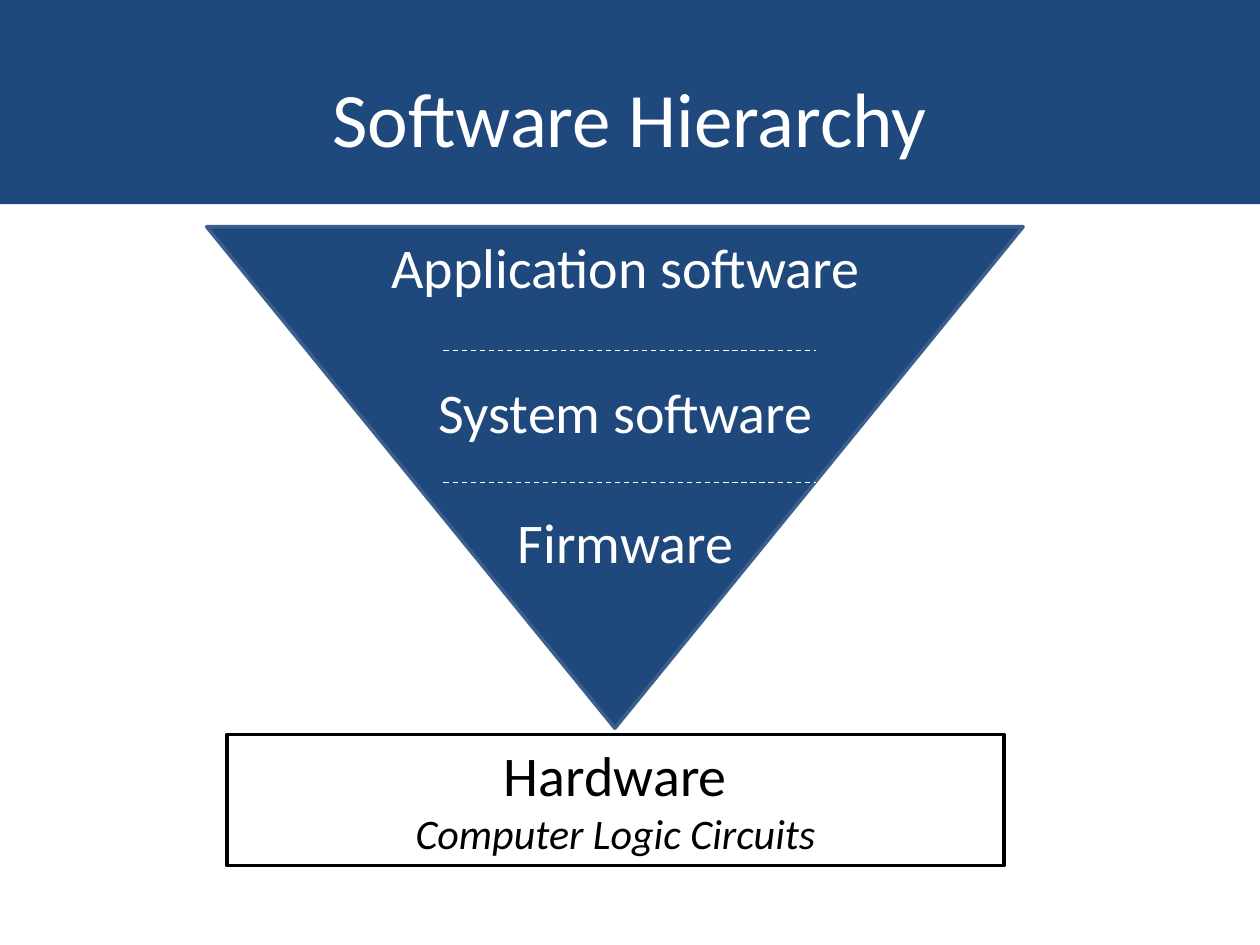
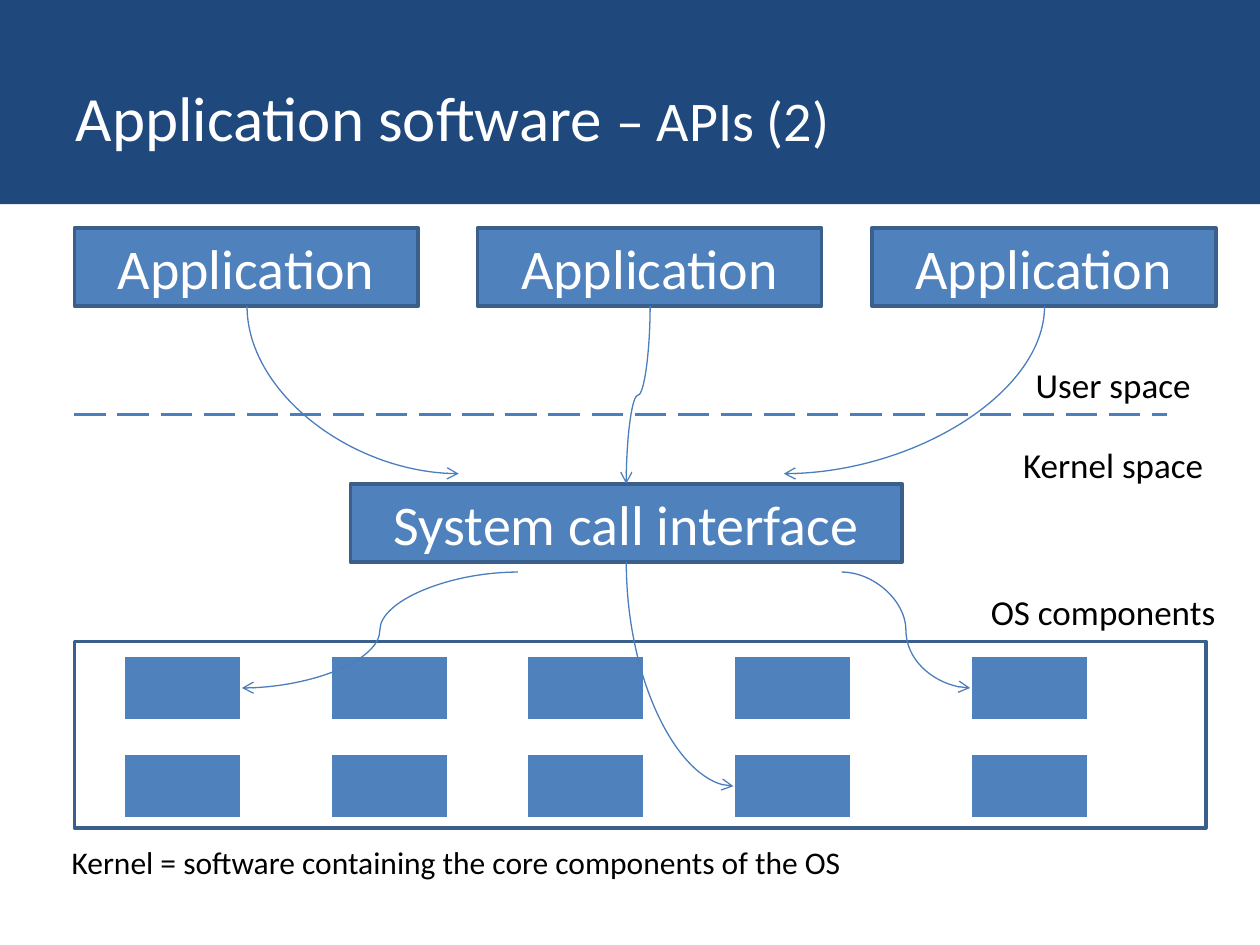
from lxml import etree
from pptx import Presentation
from pptx.dml.color import RGBColor
from pptx.enum.dml import MSO_LINE
from pptx.enum.shapes import MSO_CONNECTOR, MSO_SHAPE
from pptx.enum.text import MSO_ANCHOR, MSO_AUTO_SIZE, PP_ALIGN
from pptx.oxml.ns import qn
from pptx.util import Emu, Pt

PX = 9144
FONT = "Calibri"
COLORS = {
    "band": "1F497D",
    "box": "4F81BD",
    "edge": "3A5F8C",
    "link": "4B7EBC",
    "white": "FFFFFF",
    "black": "000000",
}
SLIDE = (0, 0, 1000, 750)
BAND = (0, 0, 1000, 162)
TITLE = (50, 30, 900, 125)


def px(*values):
    return [Emu(round(v * PX)) for v in values]


def rgb(name):
    return RGBColor.from_string(COLORS[name])


def add_run(p, text, size, color, italic=None):
    r = p.add_run()
    r.text = text
    r.font.name = FONT
    r.font.size = Pt(size)
    r.font.italic = italic
    r.font.color.rgb = rgb(color)


def add_box(s, box, fill=None, line=None, shape=MSO_SHAPE.RECTANGLE):
    sp = s.shapes.add_shape(shape, *px(*box))
    sp.shadow.inherit = False
    if fill:
        sp.fill.solid()
        sp.fill.fore_color.rgb = rgb(fill)
    else:
        sp.fill.background()
    if line:
        sp.line.color.rgb = rgb(line)
        sp.line.width = Pt(2)
    else:
        sp.line.fill.background()
    return sp


def write(sp, text, size, color, align=PP_ALIGN.CENTER, anchor=MSO_ANCHOR.MIDDLE):
    tf = sp.text_frame
    tf.word_wrap = True
    tf.vertical_anchor = anchor
    p = tf.paragraphs[0]
    p.alignment = align
    add_run(p, text, size, color)
    return tf


def add_label(s, box, text, size, color, **layout):
    return write(s.shapes.add_textbox(*px(*box)), text, size, color, **layout)


def style_line(c, color, width, dash=None, arrow=False):
    c.line.color.rgb = rgb(color)
    c.line.width = Pt(width)
    if dash:
        c.line.dash_style = dash
    spPr = c.element.spPr
    if arrow:
        etree.SubElement(spPr.find(qn("a:ln")), qn("a:tailEnd"), type="arrow")
    etree.SubElement(spPr, qn("a:effectLst"))


def add_divider(s, x1, x2, y, color, width, dash):
    c = s.shapes.add_connector(MSO_CONNECTOR.STRAIGHT, *px(x1, y, x2, y))
    style_line(c, color, width, dash)


def add_curve(s, start, end, downward=False, quarter=False):
    (x1, y1), (x2, y2) = start, end
    if downward:
        mid_x, mid_y = (x1 + x2) / 2, (y1 + y2) / 2
        half_h = abs(x2 - x1) / 2
        half_w = (y2 - y1) / 2 * (-1 if x2 > x1 else 1)
        ends = (mid_x - half_w, mid_y - half_h, mid_x + half_w, mid_y + half_h)
    else:
        ends = (x1, y1, x2, y2)
    c = s.shapes.add_connector(MSO_CONNECTOR.CURVE, *px(*ends))
    spPr = c.element.spPr
    if downward:
        spPr.find(qn("a:xfrm")).set("rot", "16200000" if x2 > x1 else "5400000")
    if quarter:
        spPr.find(qn("a:prstGeom")).set("prst", "curvedConnector2")
    style_line(c, "link", 0.75, arrow=True)


def add_master_band(prs, s):
    band = add_box(s, BAND, "band")
    prs.slide_master.shapes.element.insert(2, band.element)


def add_title(s, align, *runs):
    title = s.shapes.title
    title.left, title.top, title.width, title.height = px(*TITLE)
    tf = title.text_frame
    tf.auto_size = MSO_AUTO_SIZE.NONE
    tf.vertical_anchor = MSO_ANCHOR.MIDDLE
    p = tf.paragraphs[0]
    p.alignment = align
    for text, size in runs:
        add_run(p, text, size, "white")


def add_software_triangle(s, box):
    x, y, w, h = box
    sp = add_box(s, box, "band", "edge", MSO_SHAPE.ISOSCELES_TRIANGLE)
    sp.element.spPr.find(qn("a:xfrm")).set("flipV", "1")
    layers = (("Application software", 0), ("System software", 115), ("Firmware", 218))
    for text, dy in layers:
        add_label(s, (x + 24, y + dy, 617, 64), text, 32, "white", anchor=MSO_ANCHOR.TOP)
    for dy in (98, 203):
        add_divider(s, x + 188, x + 484, y + dy, "white", 0.75, MSO_LINE.DASH)


def add_hardware(s, box):
    sp = add_box(s, box, "white", "black")
    tf = write(sp, "Hardware", 32, "black", anchor=MSO_ANCHOR.TOP)
    p = tf.add_paragraph()
    p.alignment = PP_ALIGN.CENTER
    add_run(p, "Computer Logic Circuits", 24, "black", italic=True)


def add_applications(s, box):
    x, y, w, h = box
    for dx in (0, 320, 633):
        sp = add_box(s, (x + dx, y, 273, h), "box", "edge")
        write(sp, "Application", 32, "white")


def add_space_border(s, box):
    x, y, w, h = box
    add_divider(s, x, x + w, y + 47, "link", 2.25, MSO_LINE.LONG_DASH)
    for text, dy in (("User space", 0), ("Kernel space", 63)):
        add_label(s, (x + 727, y + dy, 195, 47), text, 20, "black")


def add_components(s, box):
    x, y, w, h = box
    add_box(s, box, line="edge")
    for dx in (39, 203, 359, 523, 711):
        for dy in (11, 89):
            add_box(s, (x + dx, y + dy, 94, 52), "box", "white")
    add_label(s, (x + 711, y - 47, 211, 47), "OS components", 20, "black")


def add_calls(s, box):
    x, y, w, h = box
    mid, bottom = x + w / 2, y + h
    add_curve(s, (196, 243), (x + 86, y - 8), downward=True, quarter=True)
    add_curve(s, (829, 243), (x + 344, y - 8), downward=True, quarter=True)
    add_curve(s, (516, 243), (mid, y), downward=True)
    add_curve(s, (x + 133, bottom + 8), (192, 546))
    add_curve(s, (mid, bottom), (582, 624), downward=True, quarter=True)
    add_curve(s, (x + 390, bottom + 8), (770, 546))


def build_hierarchy(s):
    add_title(s, PP_ALIGN.CENTER, ("Software Hierarchy", 44))
    add_software_triangle(s, (164, 180, 648, 398))
    add_hardware(s, (180, 583, 617, 104))


def build_apis(s):
    add_title(s, PP_ALIGN.LEFT, ("Application software ", 36), ("– APIs (2)", 32))
    add_applications(s, (59, 181, 906, 62))
    interface = (278, 384, 438, 62)
    write(add_box(s, interface, "box", "edge"), "System call interface", 32, "white")
    add_components(s, (59, 509, 898, 148))
    add_space_border(s, (59, 282, 867, 110))
    add_label(s, (47, 664, 797, 40),
              "Kernel = software containing the core components of the OS",
              18, "black", align=PP_ALIGN.LEFT, anchor=MSO_ANCHOR.TOP)
    add_calls(s, interface)


def main():
    prs = Presentation()
    prs.slide_width, prs.slide_height = px(*SLIDE[2:])
    title_only = prs.slide_layouts[5]
    hierarchy = prs.slides.add_slide(title_only)
    add_master_band(prs, hierarchy)
    build_hierarchy(hierarchy)
    build_apis(prs.slides.add_slide(title_only))
    prs.save("out.pptx")


if __name__ == "__main__":
    main()
